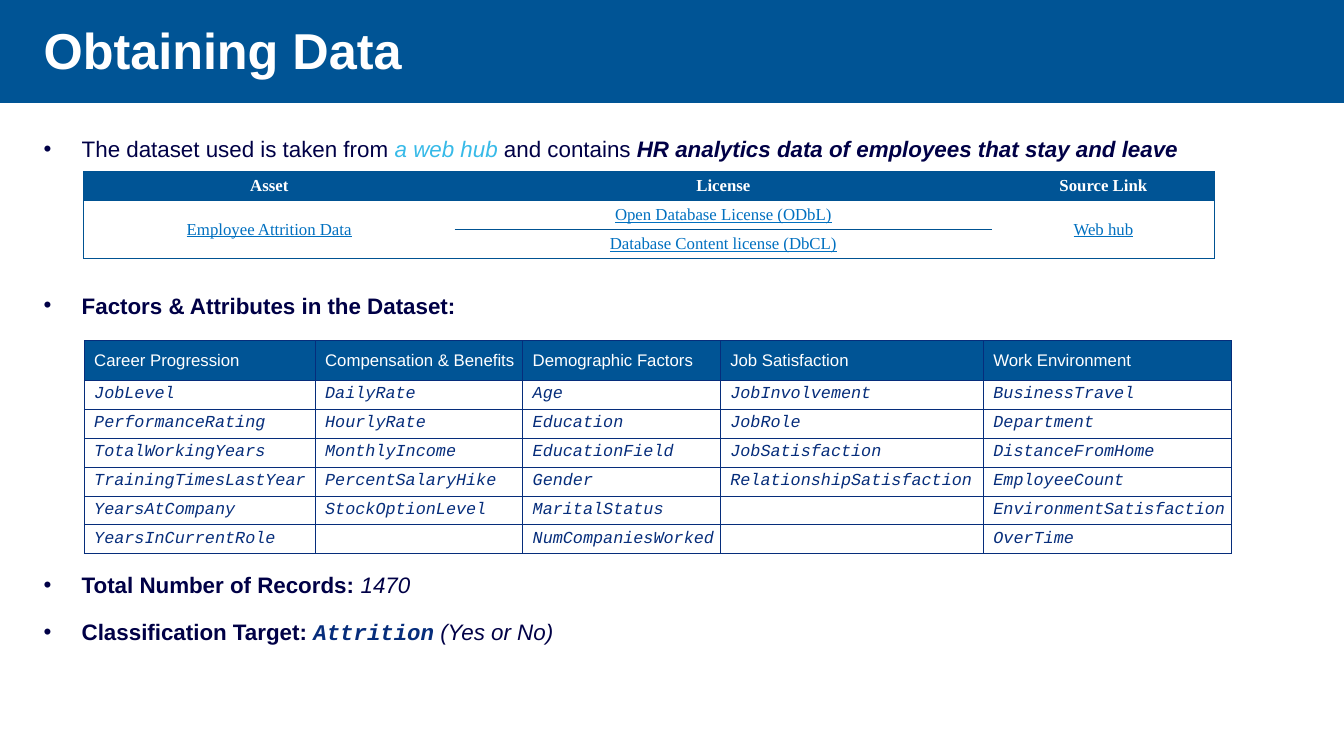
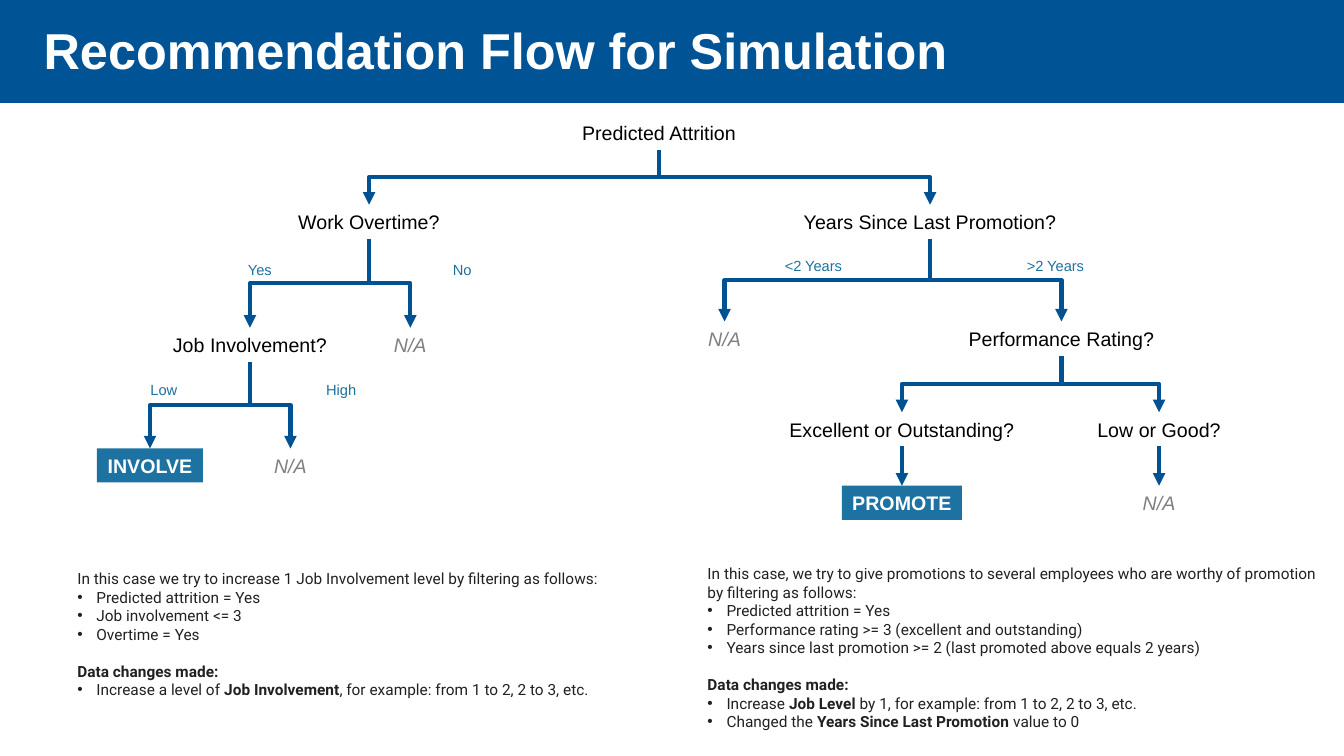
from lxml import etree
from pptx import Presentation
from pptx import util as u
from pptx.dml import color as dml
from pptx.enum import shapes, text
from pptx.oxml import ns

BAND_BLUE, LINE_BLUE, ACCENT_BLUE = "005495", "005292", "1E72A1"
NAVY, CODE_BLUE, LINK_BLUE, SKY = "000046", "062D7B", "0070C0", "37BAE8"
WHITE, BLACK, GREY, NOTE_INK = "FFFFFF", "000000", "808080", "212121"
SANS, SERIF, MONO, NOTE_FONT = "Arial", "Times New Roman", "Courier New", "Roboto"
SLIDE_WIDTH, SLIDE_HEIGHT = 33.87, 19.05
NODE_HEIGHT, LABEL_HEIGHT = 0.86, 0.7
CENTER = text.PP_ALIGN.CENTER
MIDDLE = text.MSO_ANCHOR.MIDDLE

LICENSE_ROWS = [
    ["Asset", "License", "Source Link"],
    ["Employee Attrition Data", "Open Database License (ODbL)", "Web hub"],
    ["", "Database Content license (DbCL)", ""],
]
ATTRIBUTE_ROWS = [
    ["Career Progression", "Compensation & Benefits", "Demographic Factors",
     "Job Satisfaction", "Work Environment"],
    ["JobLevel", "DailyRate", "Age", "JobInvolvement", "BusinessTravel"],
    ["PerformanceRating", "HourlyRate", "Education", "JobRole", "Department"],
    ["TotalWorkingYears", "MonthlyIncome", "EducationField", "JobSatisfaction",
     "DistanceFromHome"],
    ["TrainingTimesLastYear", "PercentSalaryHike", "Gender",
     "RelationshipSatisfaction", "EmployeeCount"],
    ["YearsAtCompany", "StockOptionLevel", "MaritalStatus", "",
     "EnvironmentSatisfaction"],
    ["YearsInCurrentRole", "", "NumCompaniesWorked", "", "OverTime"],
]

# key: (text, centre x, top, width, style)
NODES = {
    "attrition": ("Predicted Attrition", 16.61, 2.92, 4.42, "question"),
    "overtime": ("Work Overtime?", 9.3, 5.16, 4.09, "question"),
    "years": ("Years Since Last Promotion?", 23.44, 5.16, 6.91, "question"),
    "involvement": ("Job Involvement?", 6.3, 8.26, 4.42, "question"),
    "no overtime": ("N/A", 10.34, 8.26, 1.35, "none"),
    "recent": ("N/A", 18.26, 8.1, 1.35, "none"),
    "rating": ("Performance Rating?", 26.75, 8.1, 5.21, "question"),
    "excellent": ("Excellent or Outstanding?", 22.73, 10.39, 6.2, "question"),
    "low": ("Low or Good?", 29.21, 10.39, 3.63, "question"),
    "involve": ("INVOLVE", 3.78, 11.3, 2.67, "action"),
    "high": ("N/A", 7.32, 11.3, 1.35, "none"),
    "promote": ("PROMOTE", 22.73, 12.24, 3.02, "action"),
    "not promoted": ("N/A", 29.21, 12.24, 1.35, "none"),
}
NODE_STYLES = {
    "question": dict(color=BLACK),
    "none": dict(color=GREY, italic=True),
    "action": dict(color=WHITE, bold=True),
}
BRANCHES = {
    "attrition": ["overtime", "years"],
    "overtime": ["involvement", "no overtime"],
    "years": ["recent", "rating"],
    "involvement": ["involve", "high"],
    "rating": ["excellent", "low"],
    "excellent": ["promote"],
    "low": ["not promoted"],
}
BRANCH_LABELS = [
    ("Yes", 6.55, 6.45), ("No", 11.65, 6.45),
    ("Low", 4.13, 9.47), ("High", 8.6, 9.47),
    ("<2 Years", 20.5, 6.35), (">2 Years", 26.6, 6.35),
]


def rgb(value):
    return dml.RGBColor.from_string(value)


def sub(parent, tag, **attributes):
    return etree.SubElement(parent, ns.qn(tag), attributes)


def write(paragraph, content, size=14, color=BLACK, font=SANS, bold=False,
          italic=False, underline=False):
    run = paragraph.add_run()
    run.text = content
    run.font.size = u.Pt(size)
    run.font.color.rgb = rgb(color)
    run.font.name = font
    run.font.bold, run.font.italic, run.font.underline = bold, italic, underline


def write_runs(paragraph, runs, **base):
    """Write (text, format changes) pairs on top of a base format."""
    for content, changes in runs:
        write(paragraph, content, **{**base, **changes})


def add_bullet(paragraph, indent):
    properties = paragraph._p.get_or_add_pPr()
    properties.set("marL", str(u.Cm(indent)))
    properties.set("indent", str(-u.Cm(indent)))
    sub(properties, "a:buFont", typeface=SANS)
    sub(properties, "a:buChar", char="•")


def add_box(slide, left, top, width, height, wrap=True):
    box = slide.shapes.add_textbox(u.Cm(left), u.Cm(top), u.Cm(width), u.Cm(height))
    box.text_frame.word_wrap = wrap
    return box


def add_rectangle(slide, left, top, width, height, fill):
    rectangle = slide.shapes.add_shape(
        shapes.MSO_SHAPE.RECTANGLE, u.Cm(left), u.Cm(top), u.Cm(width), u.Cm(height))
    rectangle.shadow.inherit = False
    rectangle.fill.solid()
    rectangle.fill.fore_color.rgb = rgb(fill)
    rectangle.line.fill.background()
    return rectangle


def add_titled_slide(presentation, title):
    slide = presentation.slides.add_slide(presentation.slide_layouts[6])
    band = add_rectangle(slide, 0, 0, SLIDE_WIDTH, 2.55, BAND_BLUE)
    band.line.color.rgb = rgb(BAND_BLUE)
    band.line.width = u.Pt(2)
    frame = add_box(slide, 0.85, 0.2, 32.3, 2.08).text_frame
    frame.vertical_anchor = MIDDLE
    write(frame.paragraphs[0], title, size=36, color=WHITE, bold=True)
    return slide


def add_paragraphs(frame, items, indent, line_spacing=None, **base):
    """Write items of (runs, bulleted, space before in points)."""
    for index, (runs, bulleted, space_before) in enumerate(items):
        paragraph = frame.add_paragraph() if index else frame.paragraphs[0]
        if space_before:
            paragraph.space_before = u.Pt(space_before)
        if line_spacing:
            paragraph.line_spacing = u.Pt(line_spacing)
        if bulleted:
            add_bullet(paragraph, indent)
        write_runs(paragraph, runs, **base)


def set_borders(cell, edges, color, width):
    properties = cell._tc.get_or_add_tcPr()
    for edge in "LRTB":
        line = sub(properties, f"a:ln{edge}", w=str(u.Pt(width)))
        if edge in edges:
            sub(sub(line, "a:solidFill"), "a:srgbClr", val=color)
        else:
            sub(line, "a:noFill")


def add_grid(slide, left, top, widths, heights, rows, header, body,
             border, border_width, inner_verticals=True, align=None,
             margin_right=0.25):
    """Add a table with a blue header row."""
    frame = slide.shapes.add_table(
        len(rows), len(widths), u.Cm(left), u.Cm(top),
        u.Cm(sum(widths)), u.Cm(sum(heights)))
    table = frame.table
    table.first_row = table.horz_banding = False
    for column, width in zip(table.columns, widths):
        column.width = u.Cm(width)
    for row, height in zip(table.rows, heights):
        row.height = u.Cm(height)
    for row_index, row in enumerate(rows):
        for column_index, content in enumerate(row):
            cell = table.cell(row_index, column_index)
            edges = "TB"
            if inner_verticals or column_index == 0:
                edges += "L"
            if inner_verticals or column_index == len(row) - 1:
                edges += "R"
            set_borders(cell, edges, border, border_width)
            cell.fill.solid()
            cell.fill.fore_color.rgb = rgb(WHITE if row_index else BAND_BLUE)
            cell.vertical_anchor = MIDDLE
            cell.margin_right = u.Cm(margin_right)
            cell.margin_top = cell.margin_bottom = u.Cm(0.1)
            paragraph = cell.text_frame.paragraphs[0]
            paragraph.alignment = align
            if content:
                write(paragraph, content, size=12, **(body if row_index else header))
            else:
                sub(paragraph._p, "a:endParaRPr", sz="1200")
    return table


def add_node(slide, content, center, top, width, style):
    place = (center - width / 2, top, width, NODE_HEIGHT)
    if style == "action":
        node = add_rectangle(slide, *place, ACCENT_BLUE)
        node.text_frame.word_wrap = False
    else:
        node = add_box(slide, *place, wrap=False)
    node.text_frame.vertical_anchor = MIDDLE
    paragraph = node.text_frame.paragraphs[0]
    paragraph.alignment = CENTER
    write(paragraph, content, **NODE_STYLES[style])
    return node


def add_arrow(slide, start, end):
    """Join the bottom of one node to the top of another, bending if needed."""
    x1, y1 = start.left + start.width // 2, start.top + start.height
    x2, y2 = end.left + end.width // 2, end.top
    across, down = x2 - x1, y2 - y1
    bent = abs(across) > u.Cm(0.1)
    kind = shapes.MSO_CONNECTOR.ELBOW if bent else shapes.MSO_CONNECTOR.STRAIGHT
    arrow = slide.shapes.add_connector(kind, x1, y1, x2, y2)
    arrow.begin_connect(start, 2)
    arrow.end_connect(end, 0)
    properties = arrow._element.spPr
    if bent:
        # A vertical elbow is a horizontal one turned by a quarter.
        arrow.left = (x1 + x2 - down) // 2
        arrow.top = (y1 + y2 - abs(across)) // 2
        arrow.width, arrow.height = down, abs(across)
        frame = properties.find(ns.qn("a:xfrm"))
        frame.set("rot", "16200000" if across > 0 else "5400000")
        frame.set("flipH", "1" if across > 0 else "0")
        frame.set("flipV", "0")
    arrow.line.color.rgb = rgb(LINE_BLUE)
    arrow.line.width = u.Pt(3)
    sub(arrow.line._get_or_add_ln(), "a:tailEnd", type="triangle")
    sub(properties, "a:effectLst")


def add_note(slide, left, top, width, intro, filters, changes):
    bold = dict(bold=True)
    items = [([(intro, {})], False, 0)]
    items += [([(line, {})], True, 0) for line in filters]
    items.append(([("Data changes made:", bold)], False, 13.2))
    items += [([(before, {}), (name, bold), (after, {})], True, 0)
              for before, name, after in changes]
    frame = add_box(slide, left, top, width, 4).text_frame
    add_paragraphs(frame, items, 0.48, size=11, color=NOTE_INK, font=NOTE_FONT)


def build_data_slide(presentation):
    slide = add_titled_slide(presentation, "Obtaining Data")
    bold, italic = dict(bold=True), dict(italic=True)
    both = {**bold, **italic}
    add_paragraphs(add_box(slide, 0.85, 2.9, 30.9, 15.4).text_frame, [
        ([("The dataset used is taken from ", {}),
          ("a web hub ", dict(color=SKY, italic=True)),
          ("and contains ", {}),
          ("HR analytics data of employees that stay and leave", both)], True, 0),
        ([("Factors & Attributes in the Dataset:", bold)], True, 82),
        ([("Total Number of Records: ", bold), ("1470", italic)], True, 169.5),
        ([("Classification Target: ", bold),
          ("Attrition", dict(font=MONO, color=CODE_BLUE, **both)),
          (" (Yes or No)", italic)], True, 3.5),
    ], 0.96, line_spacing=30, size=16, color=NAVY)

    licenses = add_grid(
        slide, 2.11, 4.32, [9.35, 13.54, 5.61], [0.73] * 3, LICENSE_ROWS,
        header=dict(font=SERIF, color=WHITE, bold=True),
        body=dict(font=SERIF, color=LINK_BLUE, underline=True),
        border=LINE_BLUE, border_width=0.75, inner_verticals=False, align=CENTER)
    for column in (0, 2):
        licenses.cell(1, column).merge(licenses.cell(2, column))
    add_grid(
        slide, 2.12, 8.58, [5.82, 5.23, 4.98, 6.63, 6.25], [0.99] + [0.73] * 6,
        ATTRIBUTE_ROWS, header=dict(color=WHITE),
        body=dict(font=MONO, color=CODE_BLUE, italic=True),
        border=CODE_BLUE, border_width=0.25, margin_right=0.03)


def build_flow_slide(presentation):
    slide = add_titled_slide(presentation, "Recommendation Flow for Simulation")
    nodes = {key: add_node(slide, *node) for key, node in NODES.items()}
    for start, ends in BRANCHES.items():
        for end in ends:
            add_arrow(slide, nodes[start], nodes[end])
    for content, center, top in BRANCH_LABELS:
        label = add_box(slide, center - 1, top, 2, LABEL_HEIGHT, wrap=False)
        paragraph = label.text_frame.paragraphs[0]
        paragraph.alignment = CENTER
        write(paragraph, content, size=10.5, color=ACCENT_BLUE)

    example = ", for example: from 1 to 2, 2 to 3, etc."
    add_note(
        slide, 1.7, 14.22, 15,
        "In this case we try to increase 1 Job Involvement level by filtering as follows:",
        ["Predicted attrition = Yes", "Job involvement <= 3", "Overtime = Yes"],
        [("Increase a level of ", "Job Involvement", example)])
    add_note(
        slide, 17.58, 14.1, 16.08,
        "In this case, we try to give promotions to several employees who are "
        "worthy of promotion by filtering as follows:",
        ["Predicted attrition = Yes",
         "Performance rating >= 3 (excellent and outstanding)",
         "Years since last promotion >= 2 (last promoted above equals 2 years)"],
        [("Increase ", "Job Level", " by 1" + example),
         ("Changed the ", "Years Since Last Promotion", " value to 0")])


def main():
    presentation = Presentation()
    presentation.slide_width = u.Cm(SLIDE_WIDTH)
    presentation.slide_height = u.Cm(SLIDE_HEIGHT)
    build_data_slide(presentation)
    build_flow_slide(presentation)
    presentation.save("out.pptx")


if __name__ == "__main__":
    main()
